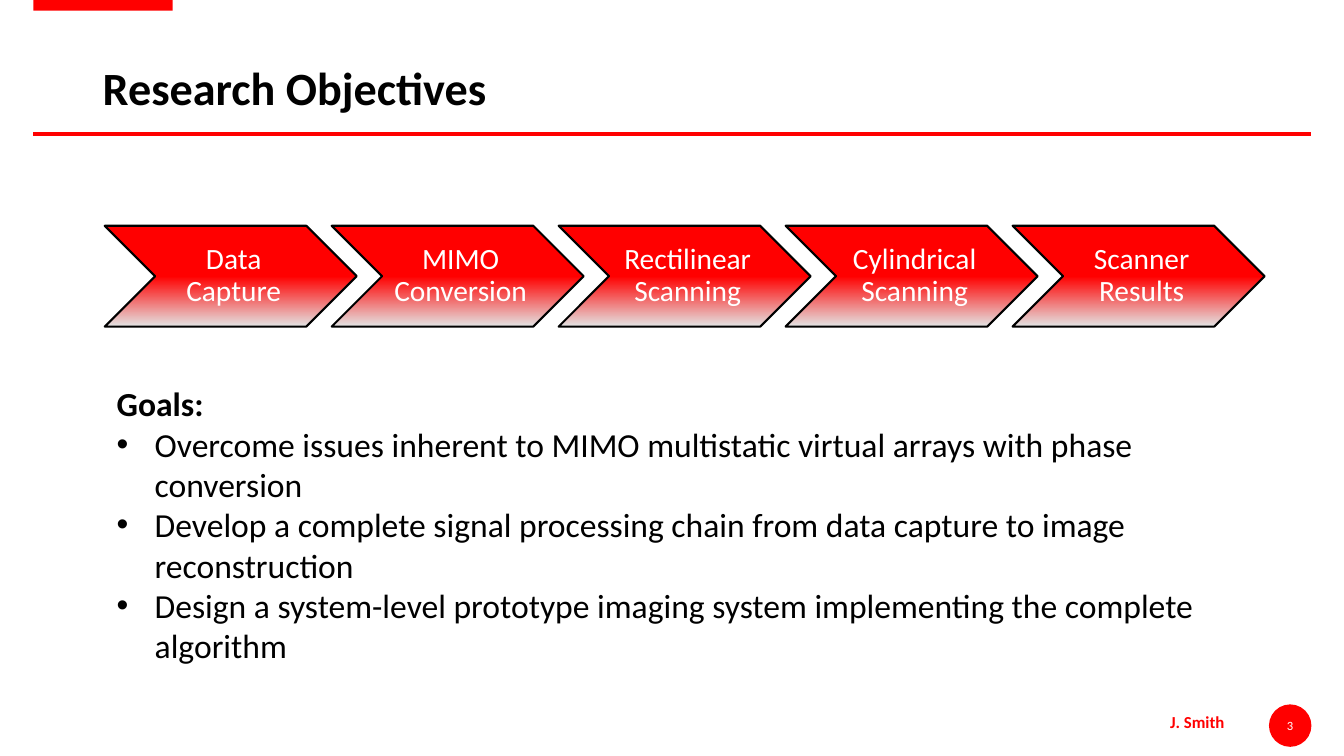
from copy import deepcopy
from dataclasses import dataclass

from lxml import etree
from pptx import Presentation
from pptx.dml.color import RGBColor
from pptx.enum.shapes import MSO_CONNECTOR, MSO_SHAPE
from pptx.enum.text import MSO_ANCHOR, PP_ALIGN
from pptx.oxml.ns import qn
from pptx.util import Cm, Pt

CHEVRON, OVAL, RECTANGLE = MSO_SHAPE.CHEVRON, MSO_SHAPE.OVAL, MSO_SHAPE.RECTANGLE
STRAIGHT = MSO_CONNECTOR.STRAIGHT
LEFT, CENTER = PP_ALIGN.LEFT, PP_ALIGN.CENTER
TOP, MIDDLE = MSO_ANCHOR.TOP, MSO_ANCHOR.MIDDLE


@dataclass(frozen=True)
class Theme:
    font: str = "Calibri"
    accent: RGBColor = RGBColor(0xFF, 0x00, 0x00)
    fade: RGBColor = RGBColor(0xE3, 0xE3, 0xE3)
    ink: RGBColor = RGBColor(0x00, 0x00, 0x00)
    paper: RGBColor = RGBColor(0xFF, 0xFF, 0xFF)
    title_size: float = 33
    body_size: float = 24
    step_size: float = 21
    author_size: float = 12
    number_size: float = 9


STEPS = ["Data Capture", "MIMO Conversion", "Rectilinear Scanning",
         "Cylindrical Scanning", "Scanner Results"]
GOALS = [
    "Overcome issues inherent to MIMO multistatic virtual arrays with phase conversion",
    "Develop a complete signal processing chain from data capture to image reconstruction",
    "Design a system-level prototype imaging system implementing the complete algorithm",
]


def write(paragraph, text, *, font, size, color, bold=False, align=LEFT,
          spacing=None, bullet=False):
    if bullet:
        properties = paragraph._p.get_or_add_pPr()
        properties.set("marL", str(Cm(0.96)))
        properties.set("indent", str(-Cm(0.96)))
        etree.SubElement(properties, qn("a:buFont")).set("typeface", "Arial")
        etree.SubElement(properties, qn("a:buChar")).set("char", "•")
    paragraph.alignment = align
    if spacing:
        paragraph.line_spacing = spacing
    run = paragraph.add_run()
    run.text = text
    run.font.name = font
    run.font.size = Pt(size)
    run.font.bold = bold
    run.font.color.rgb = color


class SlideBuilder:
    def __init__(self, slide, theme):
        self.slide = slide
        self.theme = theme

    def text(self, frame, text, **style):
        """Fill the frame's first paragraph, or add one if it is taken."""
        last = frame.paragraphs[-1]
        paragraph = frame.add_paragraph() if last.runs else last
        write(paragraph, text, font=self.theme.font, **style)

    def box(self, left, top, width, height, anchor=TOP, wrap=True):
        area = self.slide.shapes.add_textbox(Cm(left), Cm(top), Cm(width), Cm(height))
        area.text_frame.word_wrap = wrap
        area.text_frame.vertical_anchor = anchor
        return area.text_frame

    def shape(self, kind, left, top, width, height):
        """Add an accent-filled shape without outline, shadow or text margins."""
        shape = self.slide.shapes.add_shape(kind, Cm(left), Cm(top), Cm(width), Cm(height))
        shape.shadow.inherit = False
        shape.fill.solid()
        shape.fill.fore_color.rgb = self.theme.accent
        shape.line.fill.background()
        frame = shape.text_frame
        frame.vertical_anchor = MIDDLE
        frame.margin_left = frame.margin_right = frame.margin_top = frame.margin_bottom = 0
        return shape

    def rule(self, left, right, y):
        line = self.slide.shapes.add_connector(STRAIGHT, Cm(left), Cm(y), Cm(right), Cm(y))
        line.line.color.rgb = self.theme.accent
        line.line.width = Pt(3)
        etree.SubElement(line._element.spPr, qn("a:effectLst"))

    def step(self, label, left, top, width, height):
        theme = self.theme
        chevron = self.shape(CHEVRON, left, top, width, height)
        chevron.line.color.rgb = theme.ink
        chevron.line.width = Pt(1.5)

        chevron.fill.gradient()
        chevron.fill.gradient_angle = 270
        stop_list = chevron._element.spPr.find(".//" + qn("a:gsLst"))
        stop_list.append(deepcopy(stop_list[0]))
        colors = (theme.accent, theme.accent, theme.fade)
        for stop, position, color in zip(chevron.fill.gradient_stops, (0, 0.5, 1), colors):
            stop.position = position
            stop.color.rgb = color

        frame = chevron.text_frame
        frame.word_wrap = True
        frame.margin_left = Cm(0.23)
        frame.margin_right = frame.margin_top = frame.margin_bottom = Cm(0.08)
        self.text(frame, label, size=theme.step_size, color=theme.paper,
                  align=CENTER, spacing=0.9)


def main():
    theme = Theme()
    deck = Presentation()
    deck.slide_width, deck.slide_height = Cm(33.87), Cm(19.05)
    blank = deck.slide_layouts[6]
    page = SlideBuilder(deck.slides.add_slide(blank), theme)

    page.shape(RECTANGLE, 0.84, -0.05, 3.51, 0.32)
    page.rule(0.84, 33.05, 3.38)
    page_badge = page.shape(OVAL, 31.98, 17.75, 1.07, 1.07)
    page.text(page_badge.text_frame, "3", size=theme.number_size,
              color=theme.paper, align=CENTER)
    author = page.box(29.24, 17.81, 1.9, 0.76, wrap=False)
    page.text(author, "J. Smith", size=theme.author_size, color=theme.accent, bold=True)

    title = page.box(2.34, 1.02, 29.21, 2.51, anchor=MIDDLE)
    page.text(title, "Research Objectives", size=theme.title_size,
              color=theme.ink, bold=True, spacing=0.9)

    step_width, step_height, overlap = 6.35, 2.54, 0.63
    for index, label in enumerate(STEPS):
        left = 2.64 + index * (step_width - overlap)
        page.step(label, left, 5.69, step_width, step_height)

    goals = page.box(2.69, 9.53, 29.21, 7.44)
    page.text(goals, "Goals:", size=theme.body_size, color=theme.ink, bold=True)
    for goal in GOALS:
        page.text(goals, goal, size=theme.body_size, color=theme.ink, bullet=True)

    deck.save("out.pptx")


if __name__ == "__main__":
    main()
